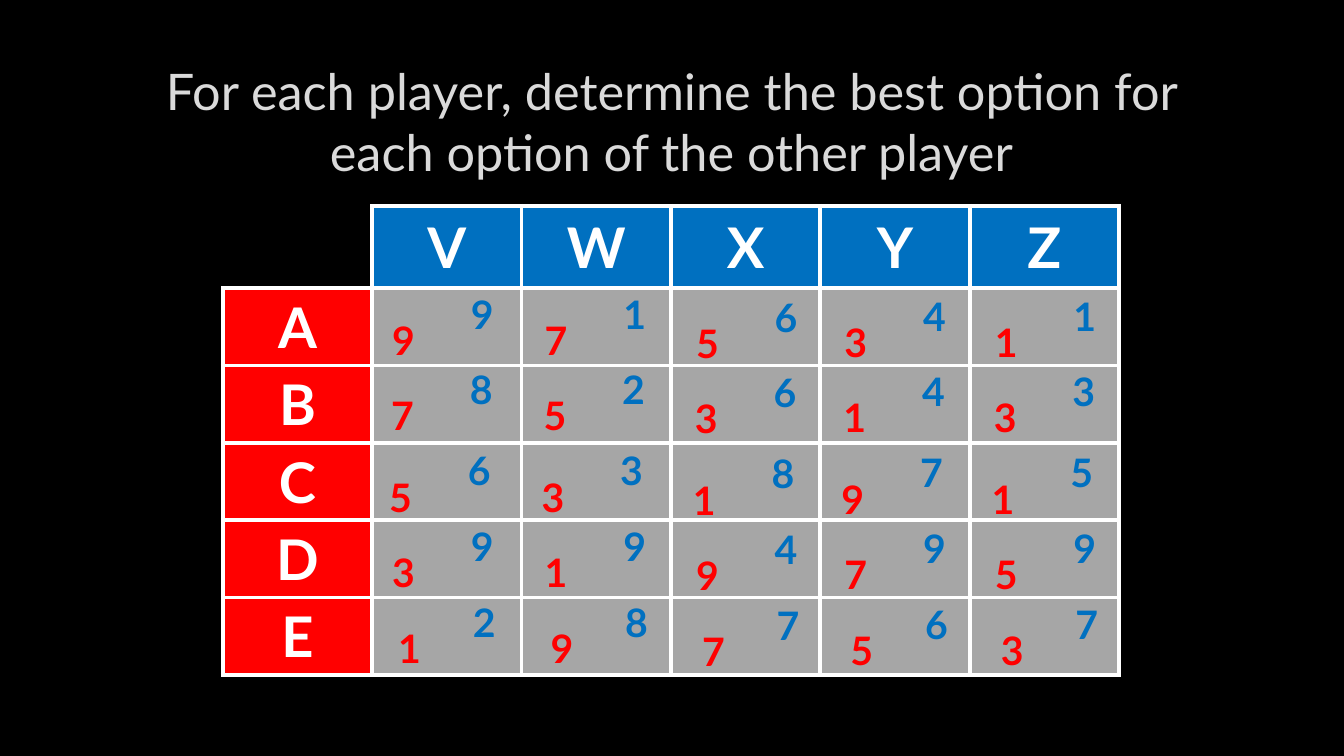
from lxml.etree import SubElement
from pptx import Presentation
from pptx.dml.color import RGBColor
from pptx.enum.text import MSO_ANCHOR, MSO_AUTO_SIZE, PP_ALIGN
from pptx.oxml.ns import qn
from pptx.util import Inches, Pt

BLACK = RGBColor(0x00, 0x00, 0x00)
WHITE = RGBColor(0xFF, 0xFF, 0xFF)
PALE = RGBColor(0xDA, 0xDA, 0xDA)
GREY = RGBColor(0xA6, 0xA6, 0xA6)
RED = RGBColor(0xFF, 0x00, 0x00)
BLUE = RGBColor(0x00, 0x70, 0xC0)

FONT = "Lato"
LEFT, TOP = 2.21, 2.04
WIDTH, HEIGHT, HEADER = 8.89, 4.65, 0.82
BLUE_OPTIONS, RED_OPTIONS = "VWXYZ", "ABCDE"
COL = WIDTH / (len(BLUE_OPTIONS) + 1)
ROW = (HEIGHT - HEADER) / len(RED_OPTIONS)

RED_PAYOFFS = ("97531", "75313", "53191", "31975", "19753")
BLUE_PAYOFFS = ("91641", "82643", "63875", "99499", "28767")

COL_NUDGES = ((0, 0), (0.03, 0), (0.05, 0.03), (0.04, 0.02), (0.05, 0.02))
ROW_NUDGES = ((0, 0), (-0.01, -0.02), (-0.03, 0.02), (0, 0), (0.06, -0.01))
BLUE_SHIFTS = (0.78, 0.78, 0.78, 0.78, 0.74)


def add_run(tf, text, size, color, bold=True, align=PP_ALIGN.LEFT):
    """Write one styled run in the first paragraph of a text frame."""
    p = tf.paragraphs[0]
    p.alignment = align
    r = p.add_run()
    r.text = text
    r.font.name = FONT
    r.font.size = Pt(size)
    r.font.bold = bold
    r.font.color.rgb = color


def add_title(s, text):
    """Add the centred two-line heading."""
    sp = s.shapes.add_textbox(Inches(1), Inches(0.67), Inches(11.32), Inches(1.06))
    tf = sp.text_frame
    tf.word_wrap = True
    tf.vertical_anchor = MSO_ANCHOR.MIDDLE
    add_run(tf, text, 36, PALE, False, PP_ALIGN.CENTER)


def add_border(cell, side, color, width):
    """Draw one side of a cell's border."""
    ln = SubElement(cell._tc.get_or_add_tcPr(), qn(f"a:ln{side}"), w=str(Pt(width)))
    fill = SubElement(ln, qn("a:solidFill"))
    SubElement(fill, qn("a:srgbClr"), val=str(color))


def style_cell(cell, fill, text="", open_sides=""):
    """Fill and border a cell, and write its option letter."""
    for side in "LRTB":
        is_open = side in open_sides
        add_border(cell, side, BLACK if is_open else WHITE, 1 if is_open else 3)
    cell.fill.solid()
    cell.fill.fore_color.rgb = fill
    cell.vertical_anchor = MSO_ANCHOR.MIDDLE
    if text:
        add_run(cell.text_frame, text, 40, WHITE, align=PP_ALIGN.CENTER)


def add_game_table(s):
    """Add the payoff grid with the options of both players."""
    rows, cols = len(RED_OPTIONS) + 1, len(BLUE_OPTIONS) + 1
    table = s.shapes.add_table(rows, cols, Inches(LEFT), Inches(TOP),
                               Inches(WIDTH), Inches(HEIGHT)).table
    for column in table.columns:
        column.width = Inches(COL)
    for i, row in enumerate(table.rows):
        row.height = Inches(ROW if i else HEADER)
    style_cell(table.cell(0, 0), BLACK, open_sides="LT")
    for j, option in enumerate(BLUE_OPTIONS, 1):
        style_cell(table.cell(0, j), BLUE, option)
    for i, option in enumerate(RED_OPTIONS, 1):
        style_cell(table.cell(i, 0), RED, option)
        for j in range(1, cols):
            style_cell(table.cell(i, j), GREY)


def add_payoff(s, x, y, text, color):
    """Add one payoff number."""
    sp = s.shapes.add_textbox(Inches(x), Inches(y), Inches(0.4), Inches(0.57))
    tf = sp.text_frame
    tf.word_wrap = False
    tf.auto_size = MSO_AUTO_SIZE.SHAPE_TO_FIT_TEXT
    add_run(tf, text, 28, color)


def add_payoffs(s):
    """Place both players' payoffs in every cell of the grid."""
    for j, (col_dx, col_dy) in enumerate(COL_NUDGES):
        for i, (row_dx, row_dy) in enumerate(ROW_NUDGES):
            x = LEFT + COL * (j + 1) + 0.1 + col_dx + row_dx
            y = TOP + HEADER + ROW * i + 0.23 + col_dy + row_dy
            add_payoff(s, x, y, RED_PAYOFFS[i][j], RED)
            add_payoff(s, x + BLUE_SHIFTS[i], y - 0.26, BLUE_PAYOFFS[i][j], BLUE)


def main():
    """Build and save the slide."""
    prs = Presentation()
    prs.slide_width, prs.slide_height = Inches(13.33), Inches(7.5)
    s = prs.slides.add_slide(prs.slide_layouts[6])
    s.background.fill.solid()
    s.background.fill.fore_color.rgb = BLACK
    add_title(s, "For each player, determine the best option for "
                 "each option of the other player")
    add_game_table(s)
    add_payoffs(s)
    prs.save("out.pptx")


if __name__ == "__main__":
    main()
